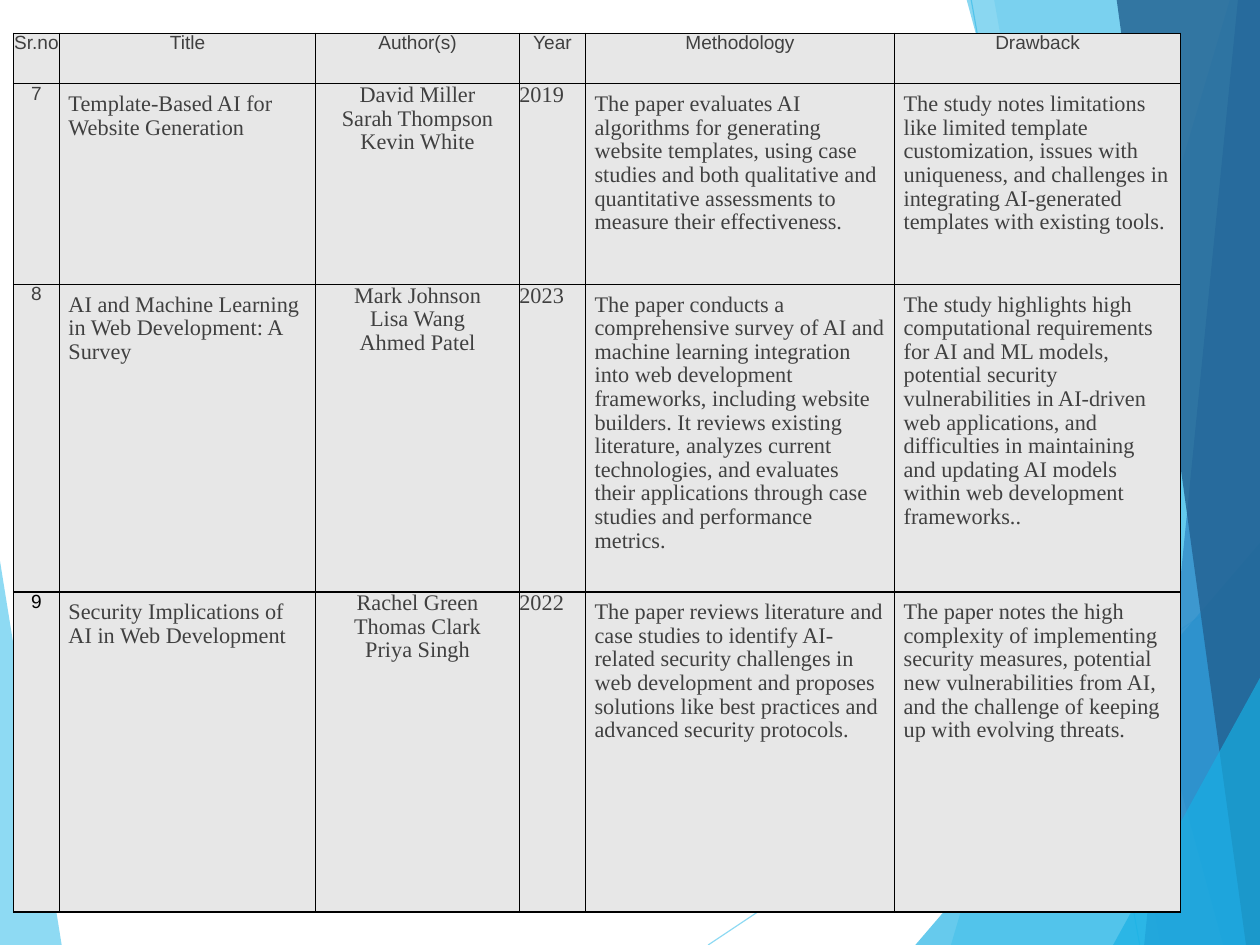
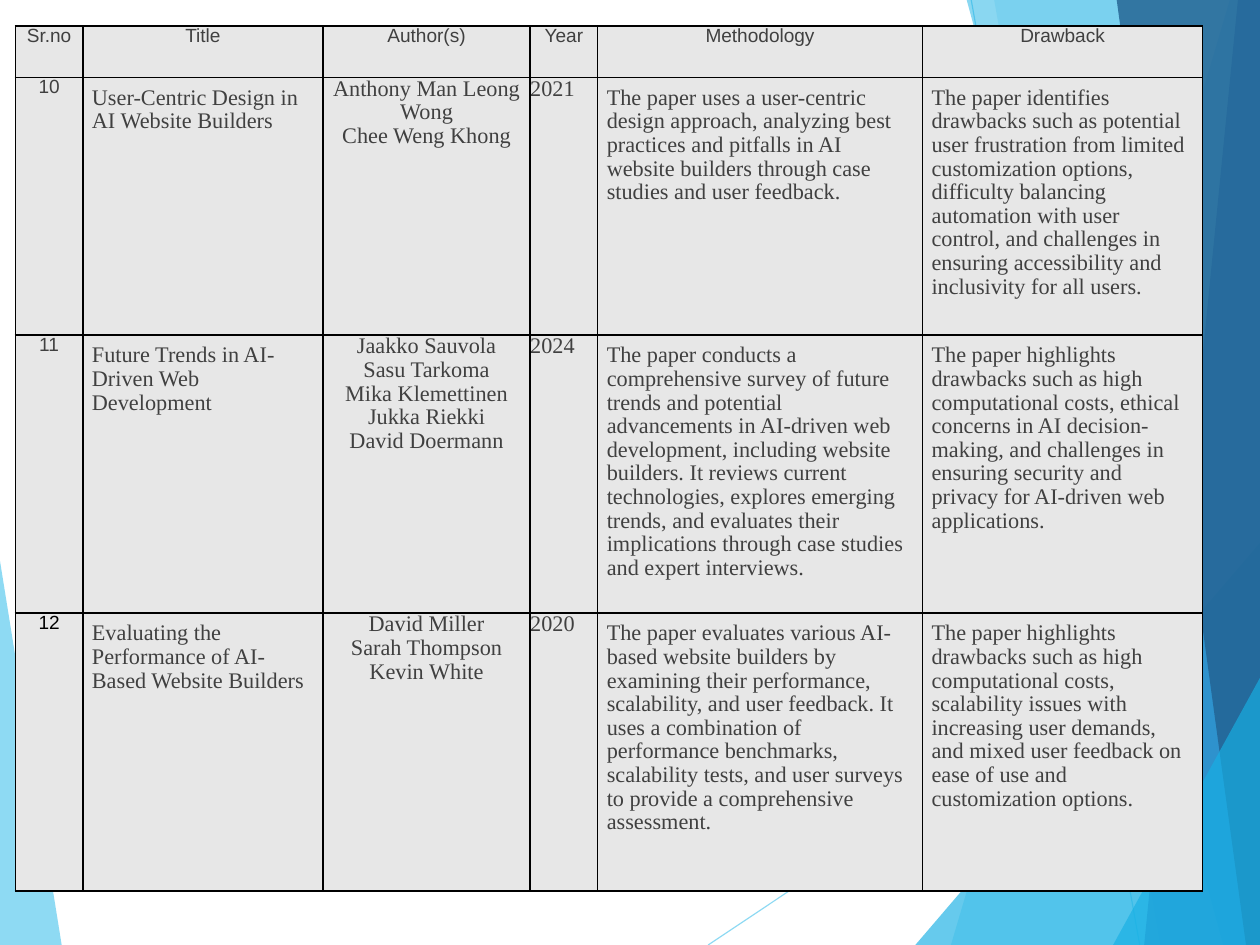
from pptx import Presentation
from pptx.dml.color import RGBColor
from pptx.enum import shapes, text
from pptx.oxml import ns, xmlchemy
from pptx.util import Cm, Pt

WIDE, HIGH = 27.97, 20.98
COLORS = {
    "sky": "5FCBEF", "cyan": "17B0E4", "blue": "2E83C3", "navy": "236292",
    "cell": "E7E7E7", "gray": "404040", "black": "000000",
}
HEADS = ["Sr.no", "Title", "Author(s)", "Year", "Methodology", "Drawback"]
PADDED = {1, 4, 5}
LEFT_SET = {1, 3, 4, 5}

# Backdrop panels: colour, opacity in percent, corners in cm
RIGHT = [(WIDE, HIGH), (WIDE, 0)]
PANELS = [
    ("sky", 70, [(0, 12.45), (1.37, HIGH), (0, HIGH)]),
    ("sky", 36, [(27.3, 0), (21.11, HIGH)] + RIGHT),
    ("sky", 20, [(22.07, 0), (25.76, HIGH)] + RIGHT),
    ("cyan", 66, [(20.32, HIGH), (WIDE, 12.05), (WIDE, HIGH)]),
    ("cyan", 50, [(21.46, 0), (27.15, HIGH)] + RIGHT),
    ("blue", 70, [(27.48, 0), (25.4, HIGH)] + RIGHT),
    ("navy", 82, [(24.79, 0), (27.66, HIGH)] + RIGHT),
    ("cyan", 66, [(24.71, HIGH), (WIDE, 15.05), (WIDE, HIGH)]),
]
RAYS = [(15.72, HIGH, WIDE, 12.8), (21.56, 0, 25.3, HIGH)]

PAPERS = [
    {
        "at": (0.3, 0.74),
        "cols": [1.02, 5.69, 4.52, 1.47, 6.86, 6.35],
        "rows": [1.12, 4.45, 6.83, 7.11],
        "body": [
            ["7", "Template-Based AI for Website Generation",
             "David Miller\nSarah Thompson\nKevin White", "2019",
             "The paper evaluates AI algorithms for generating website templates, "
             "using case studies and both qualitative and quantitative assessments "
             "to measure their effectiveness.",
             "The study notes limitations like limited template customization, "
             "issues with uniqueness, and challenges in integrating AI-generated "
             "templates with existing tools."],
            ["8", "AI and Machine Learning in Web Development: A Survey",
             "Mark Johnson\nLisa Wang\nAhmed Patel", "2023",
             "The paper conducts a comprehensive survey of AI and machine learning "
             "integration into web development frameworks, including website "
             "builders. It reviews existing literature, analyzes current "
             "technologies, and evaluates their applications through case studies "
             "and performance metrics.",
             "The study highlights high computational requirements for AI and ML "
             "models, potential security vulnerabilities in AI-driven web "
             "applications, and difficulties in maintaining and updating AI models "
             "within web development frameworks.."],
            ["9", "Security Implications of AI in Web Development",
             "Rachel Green\nThomas Clark\nPriya Singh", "2022",
             "The paper reviews literature and case studies to identify AI-related "
             "security challenges in web development and proposes solutions like "
             "best practices and advanced security protocols.",
             "The paper notes the high complexity of implementing security "
             "measures, potential new vulnerabilities from AI, and the challenge "
             "of keeping up with evolving threats."],
        ],
    },
    {
        "at": (0.34, 0.58),
        "cols": [1.5, 5.33, 4.6, 1.5, 7.21, 6.22],
        "rows": [1.14, 5.72, 6.17, 6.17],
        "body": [
            ["10", "User-Centric Design in AI Website Builders",
             "Anthony Man Leong Wong\nChee Weng Khong", "2021",
             "The paper uses a user-centric design approach, analyzing best "
             "practices and pitfalls in AI website builders through case studies "
             "and user feedback.",
             "The paper identifies drawbacks such as potential user frustration "
             "from limited customization options, difficulty balancing automation "
             "with user control, and challenges in ensuring accessibility and "
             "inclusivity for all users."],
            ["11", "Future Trends in AI-Driven Web Development",
             "Jaakko Sauvola\nSasu Tarkoma\nMika Klemettinen\nJukka Riekki\n"
             "David Doermann", "2024",
             "The paper conducts a comprehensive survey of future trends and "
             "potential advancements in AI-driven web development, including "
             "website builders. It reviews current technologies, explores emerging "
             "trends, and evaluates their implications through case studies and "
             "expert interviews.",
             "The paper highlights drawbacks such as high computational costs, "
             "ethical concerns in AI decision-making, and challenges in ensuring "
             "security and privacy for AI-driven web applications."],
            ["12", "Evaluating the Performance of AI-Based Website Builders",
             "David Miller\nSarah Thompson\nKevin White", "2020",
             "The paper evaluates various AI-based website builders by examining "
             "their performance, scalability, and user feedback. It uses a "
             "combination of performance benchmarks, scalability tests, and user "
             "surveys to provide a comprehensive assessment.",
             "The paper highlights drawbacks such as high computational costs, "
             "scalability issues with increasing user demands, and mixed user "
             "feedback on ease of use and customization options."],
        ],
    },
]


def color(name):
    return RGBColor.from_string(COLORS[name])


def add(parent, tag, **attrs):
    node = xmlchemy.OxmlElement(tag)
    for key, value in attrs.items():
        node.set(key, str(value))
    parent.append(node)
    return node


def fade(shape, percent):
    """Set the opacity of every plain colour in the shape."""
    for node in shape.element.iter(ns.qn("a:srgbClr")):
        add(node, "a:alpha", val=percent * 1000)


def panel(slide, fill, percent, points):
    first, *rest = [(Cm(x), Cm(y)) for x, y in points]
    builder = slide.shapes.build_freeform(*first, scale=1.0)
    builder.add_line_segments(rest, close=True)
    shape = builder.convert_to_shape()
    shape.shadow.inherit = False
    shape.fill.solid()
    shape.fill.fore_color.rgb = color(fill)
    shape.line.fill.background()
    fade(shape, percent)
    return shape


def ray(slide, ends):
    line = slide.shapes.add_connector(
        shapes.MSO_CONNECTOR.STRAIGHT, *[Cm(n) for n in ends])
    line.line.color.rgb = color("sky")
    line.line.width = Pt(0.75)
    add(line.element.spPr, "a:effectLst")
    fade(line, 70)
    return line


def backdrop(slide, layout):
    """Draw the panels and rays once and move them to the shared layout."""
    left, *right = PANELS
    parts = [panel(slide, *left)]
    parts += [ray(slide, ends) for ends in RAYS]
    parts += [panel(slide, *item) for item in right]
    for part in parts:
        layout.shapes.element.append(part.element)


def border(cell):
    props = cell._tc.get_or_add_tcPr()
    for side in "LRTB":
        line = add(props, "a:ln" + side, w=Pt(1))
        add(add(line, "a:solidFill"), "a:srgbClr", val=COLORS["black"])


def fill_cell(cell, words, font, size, ink, left, pad):
    border(cell)
    cell.fill.solid()
    cell.fill.fore_color.rgb = color("cell")
    cell.margin_left = cell.margin_right = Cm(pad)
    cell.margin_top = cell.margin_bottom = Cm(pad)
    cell.text_frame.text = words
    for para in cell.text_frame.paragraphs:
        para.alignment = text.PP_ALIGN.LEFT if left else text.PP_ALIGN.CENTER
        para.line_spacing = 0.96
        for run in para.runs:
            run.font.name = font
            run.font.size = Pt(size)
            run.font.color.rgb = color(ink)


def grid(slide, at, cols, rows, body):
    """Add the table of papers, with the heading row on top."""
    frame = slide.shapes.add_table(
        len(rows), len(cols), Cm(at[0]), Cm(at[1]), Cm(sum(cols)), Cm(sum(rows)))
    table = frame.table
    table.first_row = table.horz_banding = False
    for col, width in zip(table.columns, cols):
        col.width = Cm(width)
    for row, height in zip(table.rows, rows):
        row.height = Cm(height)
    last = len(rows) - 1
    for r, line in enumerate([HEADS] + body):
        for c, words in enumerate(line):
            label = r == 0 or c == 0
            fill_cell(
                table.cell(r, c), words,
                font="Arial" if label else "Times New Roman",
                size=12 if label else 14,
                ink="black" if (r, c) == (last, 0) else "gray",
                left=r > 0 and c in LEFT_SET,
                pad=0.2 if r > 0 and c in PADDED else 0)


def main():
    deck = Presentation()
    deck.slide_width, deck.slide_height = Cm(WIDE), Cm(HIGH)
    blank = deck.slide_layouts[6]
    for paper in PAPERS:
        slide = deck.slides.add_slide(blank)
        if len(deck.slides) == 1:
            backdrop(slide, blank)
        grid(slide, **paper)
    deck.save("out.pptx")


if __name__ == "__main__":
    main()
